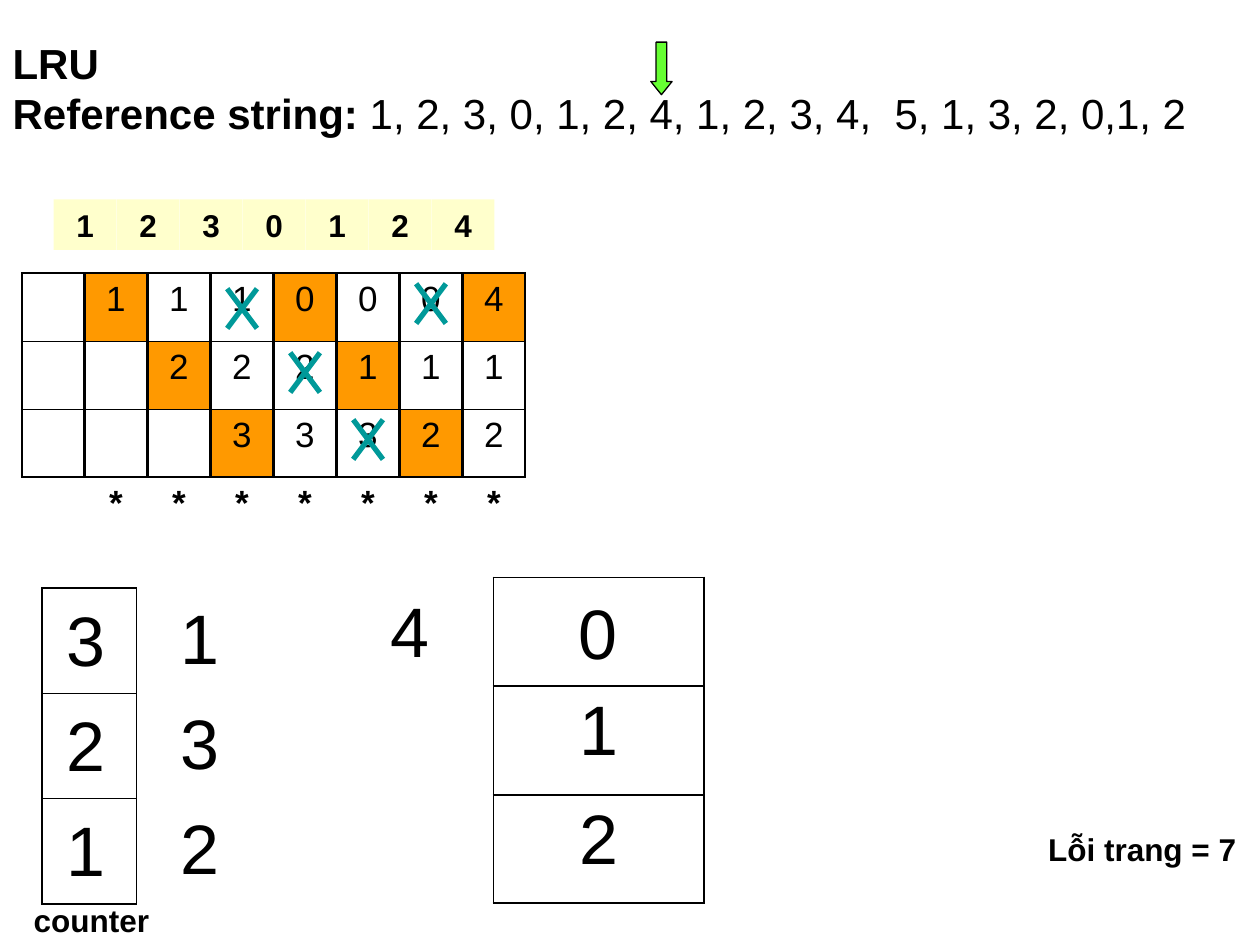
from lxml.etree import SubElement
from pptx import Presentation
from pptx.dml.color import RGBColor
from pptx.enum.shapes import MSO_CONNECTOR, MSO_SHAPE
from pptx.enum.text import MSO_ANCHOR, MSO_AUTO_SIZE, PP_ALIGN
from pptx.oxml.ns import qn
from pptx.util import Cm, Pt

BLACK = RGBColor(0x00, 0x00, 0x00)
ORANGE = RGBColor(0xFF, 0x99, 0x00)
CREAM = RGBColor(0xFF, 0xFF, 0xCC)
TEAL = RGBColor(0x00, 0x99, 0x99)
GREEN = RGBColor(0x66, 0xFF, 0x33)
FONT = "Arial"
PLAIN_TABLE = "{2D5ABB26-0587-4C30-8999-92F81FD0307C}"
THICK, THIN = 1.08, 0.45

HEADING = [
    [("LRU", True)],
    [("Reference string:", True),
     (" 1, 2, 3, 0, 1, 2, 4, 1, 2, 3, 4,  5, 1, 3, 2, 0,1, 2", False)],
]
# Each step: page referenced, contents of the three frames, frame just loaded
STEPS = [
    ("1", ["1", "", ""], 0),
    ("2", ["1", "2", ""], 1),
    ("3", ["1", "2", "3"], 2),
    ("0", ["0", "2", "3"], 0),
    ("1", ["0", "1", "3"], 1),
    ("2", ["0", "1", "2"], 2),
    ("4", ["4", "1", "2"], 0),
]
FAULT = "*"
# Replaced pages: step index, top of the cross (cm)
CROSSES = [(2, 5.82), (4, 8.46), (3, 7.11), (5, 5.72)]
MEMORY = ["", "1", "2"]
# Text, left, top, width, height (cm), size, bold
LABELS = [
    ("Lỗi trang = 7", 20.88, 16.61, 4.45, 1.02, 18, True),
    ("counter", 0.43, 18.03, 3, 1.02, 18, True),
    ("4", 7.62, 11.71, 1.3, 1.96, 40, False),
    ("0", 11.42, 11.76, 1.3, 1.96, 40, False),
]
# Digits of the counter column and of the column of pages beside it
DIGIT_COLUMNS = [(["3", "2", "1"], 1.1, 11.9), (["1", "3", "2"], 3.39, 11.86)]

STEP_WIDTH = 1.27
TRACE_LEFT, TRACE_TOP, TRACE_WIDTH, TRACE_ROW = 1.71, 5.51, 1.25, 1.37
COUNTER_ROW = 2.12


def set_font(font, size, bold):
    font.name, font.size, font.bold = FONT, Pt(size), bold
    font.color.rgb = BLACK


def add_borders(cell, **widths):
    """Draw cell sides (L, R, T, B) with the given widths in points."""
    properties = cell._tc.get_or_add_tcPr()
    for side in "LRTB":
        if side in widths:
            line = SubElement(properties, qn(f"a:ln{side}"), w=str(Pt(widths[side])))
            fill = SubElement(line, qn("a:solidFill"))
            SubElement(fill, qn("a:srgbClr"), val=str(BLACK))


def add_column(page, texts, left, top, width, row_height, size, inner,
               loaded=None, framed=3):
    """Add a one-column table whose first `framed` cells have borders."""
    count = len(texts)
    table = page.shapes.add_table(count, 1, Cm(left), Cm(top), Cm(width),
                                  Cm(row_height * count)).table
    table.first_row = table.horz_banding = False
    table._tbl.tblPr.find(qn("a:tableStyleId")).text = PLAIN_TABLE
    for row, text in enumerate(texts):
        table.rows[row].height = Cm(row_height)
        cell = table.cell(row, 0)
        if row < framed:
            add_borders(cell, L=THICK, R=THICK,
                        T=THICK if row == 0 else inner,
                        B=THICK if row == framed - 1 else inner)
        else:
            add_borders(cell, T=THICK)
        if row == loaded:
            cell.fill.solid()
            cell.fill.fore_color.rgb = ORANGE
        else:
            cell.fill.background()
        if text:
            para = cell.text_frame.paragraphs[0]
            para.text, para.alignment = text, PP_ALIGN.CENTER
            set_font(para.font, size, text == FAULT)


def add_heading(page):
    title = page.shapes.title
    title.left, title.top, title.width, title.height = Cm(0), Cm(0.63), Cm(25.4), Cm(2.29)
    frame = title.text_frame
    frame.vertical_anchor, frame.auto_size = MSO_ANCHOR.TOP, MSO_AUTO_SIZE.NONE
    for index, spans in enumerate(HEADING):
        para = frame.add_paragraph() if index else frame.paragraphs[0]
        para.alignment = PP_ALIGN.LEFT
        for text, bold in spans:
            span = para.add_run()
            span.text = text
            set_font(span.font, 24, bold)


def add_label(page, text, left, top, width, height, size, bold):
    box = page.shapes.add_textbox(Cm(left), Cm(top), Cm(width), Cm(height))
    box.text_frame.word_wrap = False
    para = box.text_frame.paragraphs[0]
    para.text = text
    set_font(para.font, size, bold)


def add_reference(page, text, left):
    box = page.shapes.add_shape(MSO_SHAPE.RECTANGLE, Cm(left), Cm(4.02),
                                Cm(STEP_WIDTH), Cm(1.02))
    box.shadow.inherit = False
    box.fill.solid()
    box.fill.fore_color.rgb = CREAM
    box.line.fill.background()
    para = box.text_frame.paragraphs[0]
    para.text, para.alignment = text, PP_ALIGN.CENTER
    set_font(para.font, 18, True)


def add_cross(page, left, top, width=0.6, height=0.8):
    group = page.shapes.add_group_shape()
    right, bottom = left + width, top + height
    for start, end in [(right, left), (left, right)]:
        stroke = group.shapes.add_connector(MSO_CONNECTOR.STRAIGHT, Cm(start), Cm(top),
                                            Cm(end), Cm(bottom))
        stroke.line.color.rgb, stroke.line.width = TEAL, Pt(3)
        SubElement(stroke._element.spPr, qn("a:effectLst"))


def add_pointer(page):
    arrow = page.shapes.add_shape(MSO_SHAPE.DOWN_ARROW, Cm(13.12), Cm(0.85),
                                  Cm(0.43), Cm(1.06))
    arrow.adjustments[0], arrow.adjustments[1] = 0.5, 0.62
    arrow.shadow.inherit = False
    arrow.fill.solid()
    arrow.fill.fore_color.rgb = GREEN
    arrow.line.color.rgb, arrow.line.width = BLACK, Pt(0.75)


def main():
    deck = Presentation()
    deck.slide_width, deck.slide_height = Cm(25.4), Cm(19.05)
    page = deck.slides.add_slide(deck.slide_layouts[5])
    add_heading(page)

    trace = (TRACE_TOP, TRACE_WIDTH, TRACE_ROW, 20, THIN)
    add_column(page, [""] * 4, TRACE_LEFT - STEP_WIDTH, *trace)
    for index, (reference, frames, loaded) in enumerate(STEPS):
        offset = index * STEP_WIDTH
        add_reference(page, reference, 1.08 + offset)
        add_column(page, frames + [FAULT], TRACE_LEFT + offset, *trace, loaded)
    for step, top in CROSSES:
        add_cross(page, TRACE_LEFT + step * STEP_WIDTH + 0.33, top)

    add_column(page, MEMORY, 9.95, 11.64, 4.24, 2.19, 40, THICK)
    add_column(page, [""] * 3, 0.85, 11.86, 1.9, COUNTER_ROW, 40, THICK)
    add_pointer(page)
    for label in LABELS:
        add_label(page, *label)
    for digits, left, top in DIGIT_COLUMNS:
        for row, digit in enumerate(digits):
            add_label(page, digit, left, top + row * COUNTER_ROW, 1.3, 1.96, 40, False)
    deck.save("out.pptx")


if __name__ == "__main__":
    main()
